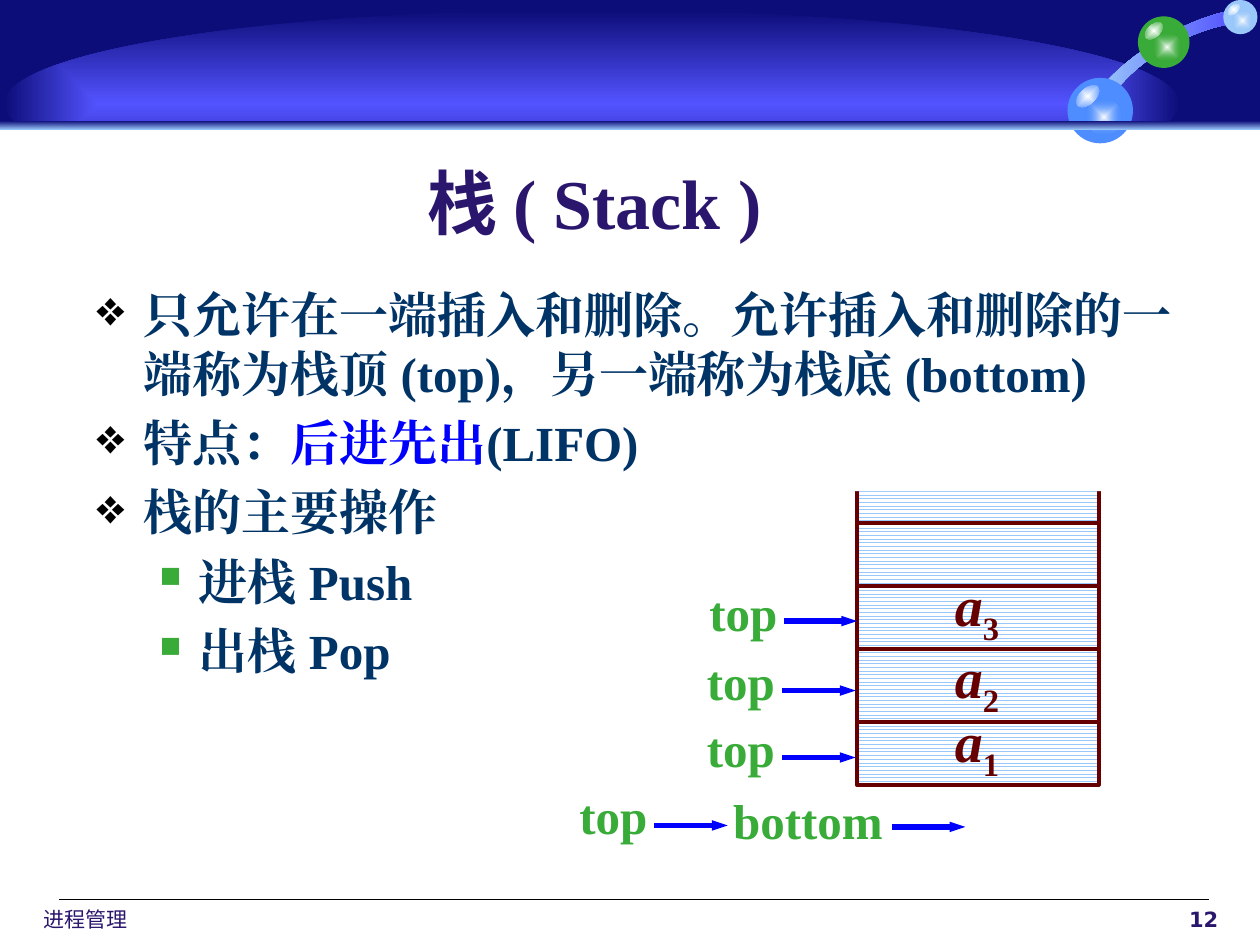
from lxml.etree import SubElement
from pptx import Presentation
from pptx.dml.color import RGBColor
from pptx.enum.dml import MSO_PATTERN
from pptx.enum.shapes import MSO_CONNECTOR, MSO_SHAPE
from pptx.enum.text import MSO_ANCHOR, MSO_AUTO_SIZE, PP_ALIGN
from pptx.oxml.ns import qn
from pptx.util import Cm, Pt

NAVY = RGBColor(0x0D, 0x0D, 0x79)
VIOLET = RGBColor(0x53, 0x53, 0xFF)
SKY = RGBColor(0x9A, 0xC8, 0xFA)
AZURE = RGBColor(0x4D, 0x8D, 0xFF)
GREEN = RGBColor(0x39, 0xAB, 0x39)
WHITE = RGBColor(0xFF, 0xFF, 0xFF)
BLACK = RGBColor(0, 0, 0)
PURPLE = RGBColor(0x2B, 0x16, 0x6E)
INK = RGBColor(0, 0x33, 0x66)
BLUE = RGBColor(0, 0, 0xFF)
MAROON = RGBColor(0x66, 0, 0)
SERIF = "Times New Roman"
SANS = "DejaVu Sans"
CJK = "Noto Sans CJK SC"

STACK_LEFT, STACK_RIGHT = 17.27, 22.15


def add_shape(slide, kind, left, top, width, height, color=None):
    shape = slide.shapes.add_shape(kind, Cm(left), Cm(top), Cm(width), Cm(height))
    shape.shadow.inherit = False
    shape.line.fill.background()
    if color is not None:
        shape.fill.solid()
        shape.fill.fore_color.rgb = color
    return shape


def fill_linear(shape, first, last, angle):
    shape.fill.gradient()
    shape.fill.gradient_angle = angle
    for stop, color, position in zip(shape.fill.gradient_stops, (first, last), (0, 1)):
        stop.color.rgb = color
        stop.position = position


def fill_radial(shape, center, edge, fade=False):
    fill_linear(shape, center, edge, 0)
    gradient = shape._element.spPr.find(qn("a:gradFill"))
    gradient.remove(gradient.find(qn("a:lin")))
    route = SubElement(gradient, qn("a:path"), {"path": "shape"})
    SubElement(route, qn("a:fillToRect"), dict.fromkeys("ltrb", "50000"))
    if fade:
        edge_color = gradient.findall(".//" + qn("a:srgbClr"))[-1]
        SubElement(edge_color, qn("a:alpha"), {"val": "0"})


def add_ball(slide, left, top, size, color):
    oval = MSO_SHAPE.OVAL
    add_shape(slide, oval, left, top, size, size, color)
    glow = add_shape(slide, oval, left + 0.28 * size, top + 0.32 * size, 0.56 * size, 0.56 * size)
    fill_radial(glow, WHITE, color, fade=True)
    shine = add_shape(slide, oval, left + 0.1 * size, top + 0.16 * size, 0.42 * size, 0.24 * size)
    shine.rotation = 317.2
    fill_radial(shine, WHITE, color)


def bezier(points, steps=12):
    for step in range(1, steps + 1):
        t = step / steps
        weights = ((1 - t) ** 3, 3 * t * (1 - t) ** 2, 3 * t * t * (1 - t), t ** 3)
        yield tuple(Cm(sum(w * p[axis] for w, p in zip(weights, points))) for axis in (0, 1))


def add_ribbon(slide):
    outer = [(24.69, 0.51), (24.31, 0.58), (23.88, 0.76), (23.47, 0.99)]
    outer_end = [outer[-1], (23.06, 1.24), (22.71, 1.55), (22.48, 1.85)]
    inner = [(22.1, 1.88), (22.4, 1.5), (22.83, 1.12), (23.37, 0.81)]
    inner_end = [inner[-1], (23.88, 0.48), (24.43, 0.28), (24.89, 0.2)]
    builder = slide.shapes.build_freeform(Cm(24.69), Cm(0.51))
    builder.add_line_segments([*bezier(outer), *bezier(outer_end), (Cm(22.1), Cm(1.88)),
                               *bezier(inner), *bezier(inner_end)])
    ribbon = builder.convert_to_shape()
    ribbon.shadow.inherit = False
    ribbon.line.fill.background()
    fill_linear(ribbon, SKY, VIOLET, 0)


def add_line(slide, x1, y1, x2, y2, color, width, arrow=False):
    line = slide.shapes.add_connector(MSO_CONNECTOR.STRAIGHT, Cm(x1), Cm(y1), Cm(x2), Cm(y2))
    line.line.color.rgb = color
    line.line.width = Pt(width)
    if arrow:
        SubElement(line.line._get_or_add_ln(), qn("a:tailEnd"),
                   {"type": "triangle", "w": "sm", "len": "med"})
    SubElement(line._element.spPr, qn("a:effectLst"))


def add_box(slide, left, top, width, height, wrap=True):
    box = slide.shapes.add_textbox(Cm(left), Cm(top), Cm(width), Cm(height))
    frame = box.text_frame
    frame.word_wrap = wrap
    frame.auto_size = MSO_AUTO_SIZE.NONE if wrap else MSO_AUTO_SIZE.SHAPE_TO_FIT_TEXT
    return frame


def add_run(paragraph, text, size, color, name=SERIF, bold=True):
    run = paragraph.add_run()
    run.text = text
    run.font.size = Pt(size)
    run.font.bold = bold
    run.font.name = name
    run.font.color.rgb = color
    SubElement(run._r.get_or_add_rPr(), qn("a:ea"), {"typeface": name})
    return run


def set_bullet(paragraph, char, color, margin, indent, percent):
    properties = paragraph._p.get_or_add_pPr()
    properties.set("marL", str(Cm(margin)))
    properties.set("indent", str(Cm(-indent)))
    bullet_color = SubElement(properties, qn("a:buClr"))
    SubElement(bullet_color, qn("a:srgbClr"), {"val": str(color)})
    SubElement(properties, qn("a:buSzPct"), {"val": str(percent * 1000)})
    SubElement(properties, qn("a:buChar"), {"char": char})


def add_background(slide):
    add_shape(slide, MSO_SHAPE.RECTANGLE, 0, 0, 25.4, 2.54, NAVY)
    dome = add_shape(slide, MSO_SHAPE.OVAL, 0.08, 0.2, 23.7, 3.78)
    fill_radial(dome, VIOLET, NAVY)
    add_shape(slide, MSO_SHAPE.RECTANGLE, 0, 2.51, 25.4, 14.88, WHITE)
    add_ribbon(slide)
    add_ball(slide, 22.94, 0.33, 1.04, GREEN)
    add_ball(slide, 21.52, 1.57, 1.32, AZURE)
    add_ball(slide, 24.66, 0, 0.69, SKY)
    band = add_shape(slide, MSO_SHAPE.RECTANGLE, 0, 2.44, 25.4, 0.18)
    fill_linear(band, NAVY, SKY, 270)


def add_footer(slide):
    add_line(slide, 1.19, 18.13, 24.38, 18.13, BLACK, 0.75)
    footer = add_box(slide, 0.62, 18.16, 6.7, 0.84).paragraphs[0]
    add_run(footer, "进程管理", 12, PURPLE, SANS, bold=False)
    number = add_box(slide, 16.76, 18.16, 8.05, 0.84).paragraphs[0]
    number.alignment = PP_ALIGN.RIGHT
    add_run(number, "12", 12, PURPLE, SANS)


def add_title(slide):
    frame = add_box(slide, 5.89, 2.79, 12.19, 2.54)
    frame.vertical_anchor = MSO_ANCHOR.MIDDLE
    title = frame.paragraphs[0]
    title.alignment = PP_ALIGN.CENTER
    add_run(title, "栈 ", 40, PURPLE, CJK)
    add_run(title, "( Stack )", 40, PURPLE)


def add_body(slide):
    items = [
        (0, [("只允许在一端插入和删除。允许插入和删除的一端称为栈顶 (top)，另一端称为栈底 (bottom)", INK)]),
        (0, [("特点：", INK), ("后进先出", BLUE), ("(LIFO)", INK)]),
        (0, [("栈的主要操作", INK)]),
        (1, [("进栈 Push", INK)]),
        (1, [("出栈 Pop", INK)]),
    ]
    bullets = [("❖", BLACK, 0.95, 0.95, 100), ("■", GREEN, 2.06, 0.79, 60)]
    frame = add_box(slide, 1.7, 5.61, 22.23, 8.26)
    for index, (level, runs) in enumerate(items):
        paragraph = frame.add_paragraph() if index else frame.paragraphs[0]
        paragraph.level = level
        if index:
            paragraph.space_before = Pt(6)
        set_bullet(paragraph, *bullets[level])
        for text, color in runs:
            add_run(paragraph, text, 28, color)


def add_pointer(slide, text, left, top, width, arrow_left, arrow_y):
    add_run(add_box(slide, left, top, width, 1.45, wrap=False).paragraphs[0], text, 28, GREEN)
    add_line(slide, arrow_left, arrow_y, arrow_left + 1.48, arrow_y, BLUE, 3, arrow=True)


def add_stack(slide):
    width = STACK_RIGHT - STACK_LEFT
    stack = add_shape(slide, MSO_SHAPE.RECTANGLE, STACK_LEFT, 9.68, width, 6.14)
    stack.fill.patterned()
    stack.fill.pattern = MSO_PATTERN.ZIG_ZAG
    stack.fill.fore_color.rgb = SKY
    stack.fill.back_color.rgb = WHITE
    stack.line.color.rgb = MAROON
    stack.line.width = Pt(2.25)
    add_shape(slide, MSO_SHAPE.RECTANGLE, 16.23, 9.27, 6.15, 0.63, WHITE)
    for y in (10.54, 11.81, 13.08, 14.55):
        add_line(slide, STACK_LEFT, y, STACK_RIGHT, y, MAROON, 2.25)
    for index, top in (("3", 11.38), ("2", 12.83), ("1", 14.12)):
        paragraph = add_box(slide, 19, top, 1.45, 1.6, wrap=False).paragraphs[0]
        add_run(paragraph, "a", 32, MAROON).font.italic = True
        subscript = add_run(paragraph, index, 32, MAROON)
        subscript._r.get_or_add_rPr().set("baseline", "-25000")
    add_pointer(slide, "top", 14.05, 11.61, 1.88, 15.8, 12.52)
    add_pointer(slide, "top", 14, 13, 1.88, 15.77, 13.92)
    add_pointer(slide, "top", 14, 14.35, 1.88, 15.77, 15.27)
    add_pointer(slide, "top", 11.43, 15.72, 1.88, 13.19, 16.64)
    add_pointer(slide, "bottom", 14.53, 15.82, 3.53, 17.98, 16.67)


def main():
    presentation = Presentation()
    presentation.slide_width, presentation.slide_height = Cm(25.4), Cm(19.05)
    slide = presentation.slides.add_slide(presentation.slide_layouts[6])
    add_background(slide)
    add_footer(slide)
    add_body(slide)
    add_title(slide)
    add_stack(slide)
    presentation.save("out.pptx")


if __name__ == "__main__":
    main()
